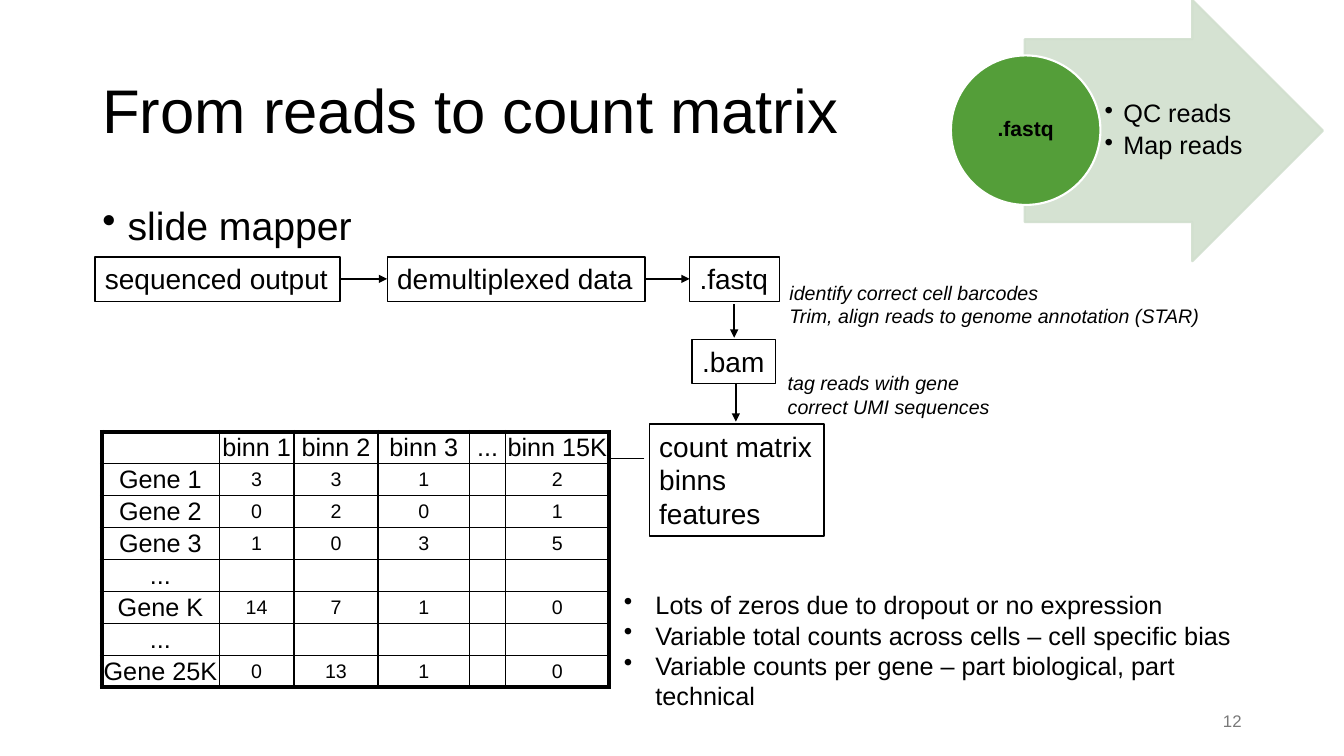
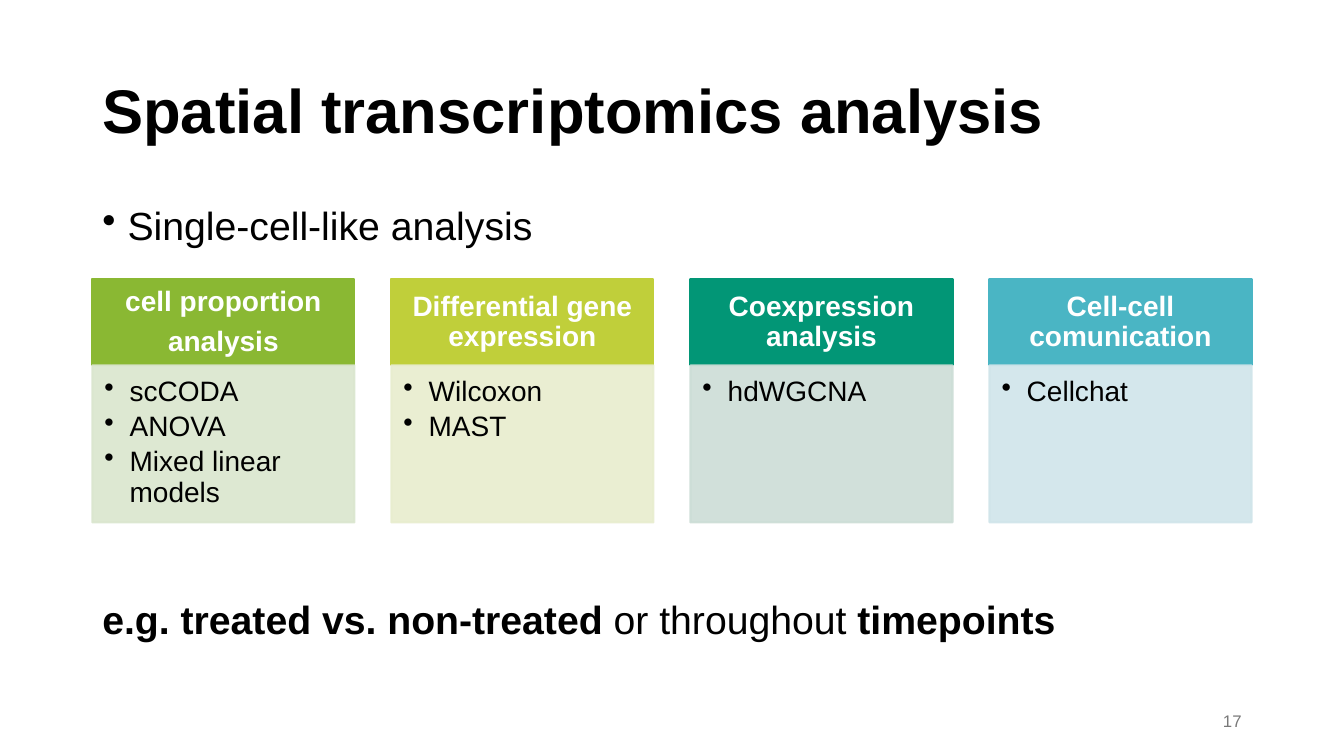
from dataclasses import dataclass

from lxml import etree
from pptx import Presentation
from pptx.dml.color import RGBColor
from pptx.enum.shapes import MSO_CONNECTOR, MSO_SHAPE
from pptx.enum.text import MSO_ANCHOR, PP_ALIGN
from pptx.oxml.ns import qn
from pptx.util import Inches, Pt

RECT, OVAL, ARROW = MSO_SHAPE.RECTANGLE, MSO_SHAPE.OVAL, MSO_SHAPE.RIGHT_ARROW
LINE = MSO_CONNECTOR.STRAIGHT
TOP, MID = MSO_ANCHOR.TOP, MSO_ANCHOR.MIDDLE
LEFT, CENTER, RIGHT = PP_ALIGN.LEFT, PP_ALIGN.CENTER, PP_ALIGN.RIGHT

WIDE, HIGH = Inches(13.33), Inches(7.5)
COLS, ROWS = 160, 90
FONT = "Arial"
INK = {
    "black": "000000", "white": "FFFFFF", "gray": "797979",
    "mint": "D1DFCE", "green": "549E39",
    "leaf": "8AB833", "leaf pale": "DAE6CE",
    "lime": "C0CF3A", "lime pale": "E8EDCE",
    "teal": "029676", "teal pale": "CCDDD6",
    "aqua": "4AB5C4", "aqua pale": "D0E5EA",
}
EDGE, SPAN = 11, 138


@dataclass(frozen=True)
class Area:
    x: float
    y: float
    w: float
    h: float


@dataclass(frozen=True)
class Style:
    size: float
    ink: str = "black"
    bold: bool = False
    slant: bool = False
    align: PP_ALIGN = LEFT
    anchor: MSO_ANCHOR = TOP
    lead: float = 1.0
    gap: float = 0
    hang: float = 0
    inset: tuple[float, ...] = (7.2, 3.6, 7.2, 3.6)
    wrap: bool = True


@dataclass(frozen=True)
class Box:
    area: Area
    lines: tuple[str, ...]


@dataclass(frozen=True)
class Link:
    x1: float
    y1: float
    x2: float
    y2: float


@dataclass(frozen=True)
class Card:
    ink: str
    head: tuple[str, ...]
    items: tuple[str, ...]


TITLE = Style(44, anchor=MID, lead=0.9)
BOLD = Style(44, bold=True, anchor=MID, lead=0.9)
POINT = Style(28, lead=0.9, hang=18)
PLAIN = Style(28, lead=0.9)
PAGE = Style(12, "gray", align=RIGHT, anchor=MID)
STEP = Style(20, wrap=False)
NOTE = Style(14, slant=True, wrap=False)
FACT = Style(18, hang=22.5)
TASK = Style(18, anchor=MID, lead=0.9, gap=3.5, hang=13.5, inset=(3.6, 0.7, 2.2, 0.7))
BADGE = Style(15, bold=True, align=CENTER, anchor=MID, lead=0.9, inset=(0.7,) * 4)
HEAD = Style(20, "white", bold=True, align=CENTER, anchor=MID, lead=0.9, gap=7,
             inset=(11.5, 6.5, 11.5, 6))
ITEM = Style(20, lead=0.9, gap=3.5, hang=18, inset=(8.6, 8.6, 11.5, 12))
LABEL = Style(18, align=CENTER)
VALUE = Style(14, align=CENTER)

STEPS = (
    Box(Area(82.1, 30.6, 10.7, 5.3), (".fastq",)),
    Box(Area(82.4, 40.4, 9.9, 5.3), (".bam",)),
    Box(Area(77.3, 50.5, 20.8, 13.3), ("count matrix", "binns", "features")),
    Box(Area(11.3, 30.6, 29.2, 5.3), ("sequenced output",)),
    Box(Area(46.1, 30.6, 30.7, 5.3), ("demultiplexed data",)),
)
LINKS = (
    Link(87.4, 36.2, 87.4, 40.2),
    Link(87.6, 45.7, 87.6, 50.2),
    Link(76.7, 33.2, 82.1, 33.2),
    Link(40.4, 33.2, 46.1, 33.2),
    Link(76.7, 54.6, 71.5, 54.6),
)
NOTES = (
    Box(Area(92.8, 32.8, 51.4, 6.8),
        ("identify correct cell barcodes", "Trim, align reads to genome annotation (STAR)")),
    Box(Area(92.6, 43.6, 26.5, 6.8), ("tag reads with gene", "correct UMI sequences")),
)
FACTS = (
    "Lots of zeros due to dropout or no expression",
    "Variable total counts across cells – cell specific bias",
    "Variable counts per gene – part biological, part technical",
)
SPLIT = (14, 8.9, 10, 10.9, 4.3, 12.3)
DEPTH = 3.8
COUNTS = (
    ("", "binn 1", "binn 2", "binn 3", "...", "binn 15K"),
    ("Gene 1", "3", "3", "1", "", "2"),
    ("Gene 2", "0", "2", "0", "", "1"),
    ("Gene 3", "1", "0", "3", "", "5"),
    ("...", "", "", "", "", ""),
    ("Gene K", "14", "7", "1", "", "0"),
    ("...", "", "", "", "", ""),
    ("Gene 25K", "0", "13", "1", "", "0"),
)
CARDS = (
    Card("leaf", ("cell proportion", "analysis"), ("scCODA", "ANOVA", "Mixed linear models")),
    Card("lime", ("Differential gene expression",), ("Wilcoxon", "MAST")),
    Card("teal", ("Coexpression analysis",), ("hdWGCNA",)),
    Card("aqua", ("Cell-cell comunication",), ("Cellchat",)),
)


def across(n: float) -> int:
    return round(WIDE * n / COLS)


def down(n: float) -> int:
    return round(HIGH * n / ROWS)


def place(area: Area) -> tuple[int, int, int, int]:
    return across(area.x), down(area.y), across(area.w), down(area.h)


def tint(name: str) -> RGBColor:
    return RGBColor.from_string(INK[name])


def shape_par(par, style: Style, first: bool) -> None:
    if style.hang:
        props = par._p.get_or_add_pPr()
        props.set("marL", str(Pt(style.hang)))
        props.set("indent", str(-Pt(style.hang)))
        etree.SubElement(props, qn("a:buChar"), char="•")
    par.alignment = style.align
    par.line_spacing = style.lead
    if style.gap and not first:
        par.space_before = Pt(style.gap)
    font = par.font
    font.name, font.size = FONT, Pt(style.size)
    font.bold, font.italic = style.bold, style.slant
    font.color.rgb = tint(style.ink)


def write(frame, lines: tuple[str, ...], style: Style) -> None:
    frame.word_wrap = style.wrap
    frame.vertical_anchor = style.anchor
    (frame.margin_left, frame.margin_top,
     frame.margin_right, frame.margin_bottom) = map(Pt, style.inset)
    for i, line in enumerate(lines):
        par = frame.add_paragraph() if i else frame.paragraphs[0]
        shape_par(par, style, i == 0)
        par.add_run().text = line


def add_text(slide, area: Area, lines: tuple[str, ...], style: Style):
    box = slide.shapes.add_textbox(*place(area))
    write(box.text_frame, lines, style)
    return box


def add_form(slide, kind, area: Area, fill: str | None, edge: str,
             weight: float = 1.5, solid: int = 100):
    form = slide.shapes.add_shape(kind, *place(area))
    form.shadow.inherit = False
    if fill:
        form.fill.solid()
        form.fill.fore_color.rgb = tint(fill)
    else:
        form.fill.background()
    form.line.color.rgb = tint(edge)
    form.line.width = Pt(weight)
    if solid < 100:
        for node in form.element.spPr.iter(qn("a:srgbClr")):
            etree.SubElement(node, qn("a:alpha"), val=str(solid * 1000))
    return form


def add_link(slide, link: Link) -> None:
    line = slide.shapes.add_connector(
        LINE, across(link.x1), down(link.y1), across(link.x2), down(link.y2))
    line.line.color.rgb = tint("black")
    line.line.width = Pt(1)
    etree.SubElement(line.line._get_or_add_ln(), qn("a:tailEnd"), type="triangle")
    etree.SubElement(line.element.spPr, qn("a:effectLst"))


def rule_cell(cell, thick: dict[str, bool]) -> None:
    props = cell._tc.get_or_add_tcPr()
    for side, heavy in thick.items():
        rule = etree.SubElement(props, qn(f"a:ln{side}"), w=str(Pt(3 if heavy else 1)))
        fill = etree.SubElement(rule, qn("a:solidFill"))
        etree.SubElement(fill, qn("a:srgbClr"), val=INK["black"])
    cell.fill.solid()
    cell.fill.fore_color.rgb = tint("white")


def add_counts(slide) -> None:
    last_row, last_col = len(COUNTS) - 1, len(SPLIT) - 1
    area = Area(12.1, 51.4, sum(SPLIT), DEPTH * len(COUNTS))
    table = slide.shapes.add_table(len(COUNTS), len(SPLIT), *place(area)).table
    table.first_row = table.horz_banding = False
    for col, width in zip(table.columns, SPLIT):
        col.width = across(width)
    for r, row in enumerate(COUNTS):
        table.rows[r].height = down(DEPTH)
        for c, text in enumerate(row):
            cell = table.cell(r, c)
            rule_cell(cell, {"L": c == 0, "R": c == last_col,
                             "T": r == 0, "B": r == last_row})
            cell.margin_left = cell.margin_top = cell.margin_right = Pt(0.7)
            cell.margin_bottom = 0
            cell.vertical_anchor = MID
            par = cell.text_frame.paragraphs[0]
            shape_par(par, LABEL if r == 0 or c == 0 else VALUE, True)
            if text:
                par.add_run().text = text


def start(deck, title: str, style: Style, point: str, page: str):
    slide = deck.slides.add_slide(deck.slide_layouts[6])
    add_text(slide, Area(EDGE, 4.8, SPAN, 17.4), (title,), style)
    add_text(slide, Area(EDGE, 24, SPAN, 6), (point,), POINT)
    add_text(slide, Area(113, 83.4, 36, 4.8), (page,), PAGE)
    return slide


def draw_reads(deck) -> None:
    slide = start(deck, "From reads to count matrix", TITLE, "slide mapper", "12")
    arrow = add_form(slide, ARROW, Area(122, 0, 35.5, 31.1), "mint", "mint", solid=90)
    arrow.adjustments[0], arrow.adjustments[1] = 0.7, 0.5
    add_text(slide, Area(130.9, 4.7, 17.4, 21.7), ("QC reads", "Map reads"), TASK)
    badge = add_form(slide, OVAL, Area(113.2, 6.6, 17.8, 17.8), "green", "white")
    write(badge.text_frame, (".fastq",), BADGE)
    for step in STEPS:
        form = add_form(slide, RECT, step.area, None, "black", 1)
        write(form.text_frame, step.lines, STEP)
    for link in LINKS:
        add_link(slide, link)
    for note in NOTES:
        add_text(slide, note.area, note.lines, NOTE)
    add_counts(slide)
    add_text(slide, Area(73.1, 69.6, 74.8, 12.1), FACTS, FACT)


def draw_tests(deck) -> None:
    slide = start(deck, "Spatial transcriptomics analysis", BOLD,
                  "Single-cell-like analysis", "17")
    width = 31.2
    pitch = (SPAN - width) / (len(CARDS) - 1)
    for i, card in enumerate(CARDS):
        x = EDGE + i * pitch
        head = add_form(slide, RECT, Area(x, 33.2, width, 10.3), card.ink, card.ink)
        write(head.text_frame, card.head, HEAD)
        pale = f"{card.ink} pale"
        body = add_form(slide, RECT, Area(x, 43.5, width, 18.7), pale, pale, solid=90)
        write(body.text_frame, card.items, ITEM)
    close = add_text(slide, Area(EDGE, 70.9, SPAN, 6), ("e.g. treated vs. non-treated ",), PLAIN)
    par = close.text_frame.paragraphs[0]
    par.runs[0].font.bold = True
    par.add_run().text = "or throughout"
    end = par.add_run()
    end.text, end.font.bold = " timepoints", True


def main() -> None:
    deck = Presentation()
    deck.slide_width, deck.slide_height = WIDE, HIGH
    draw_reads(deck)
    draw_tests(deck)
    deck.save("out.pptx")


if __name__ == "__main__":
    main()
